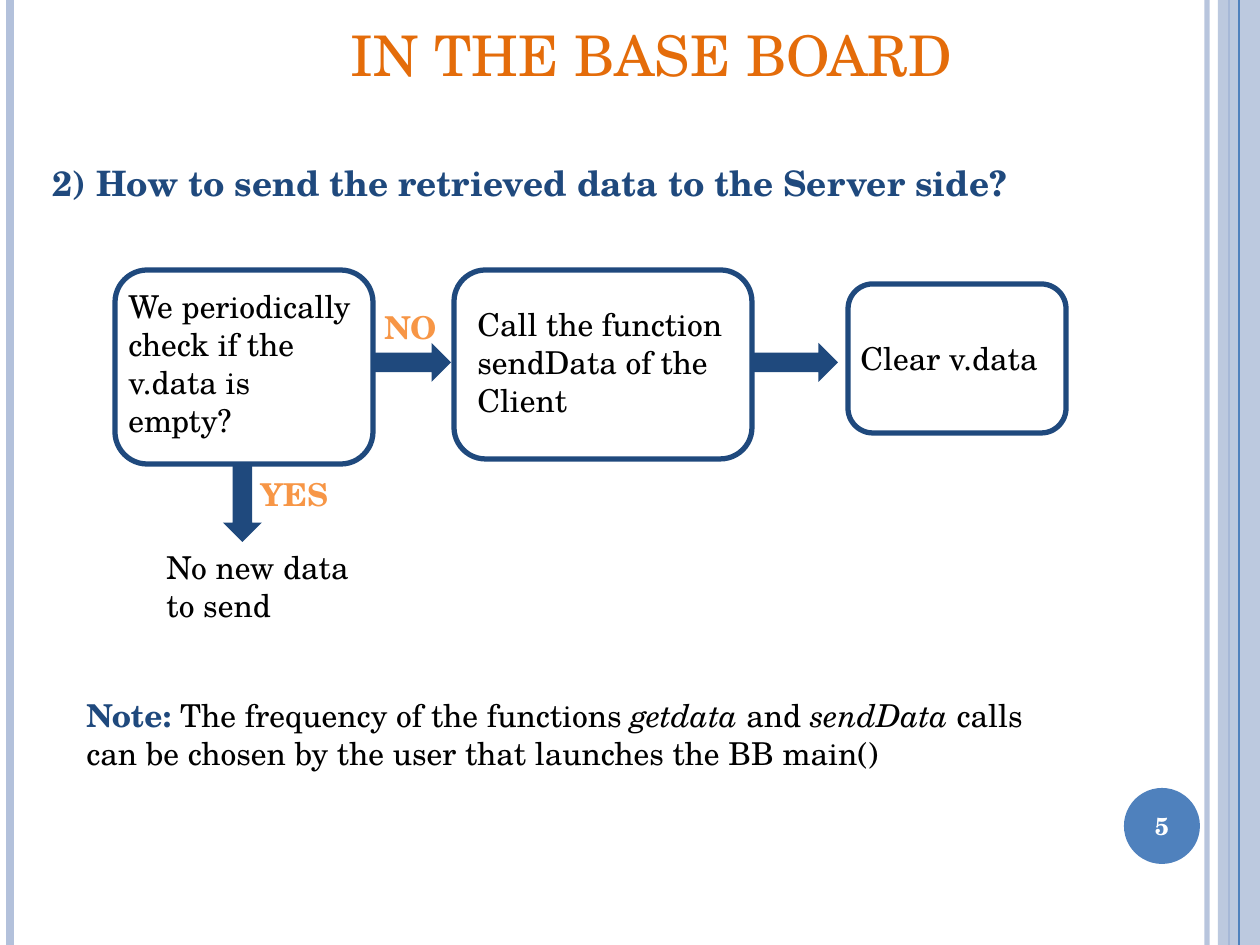
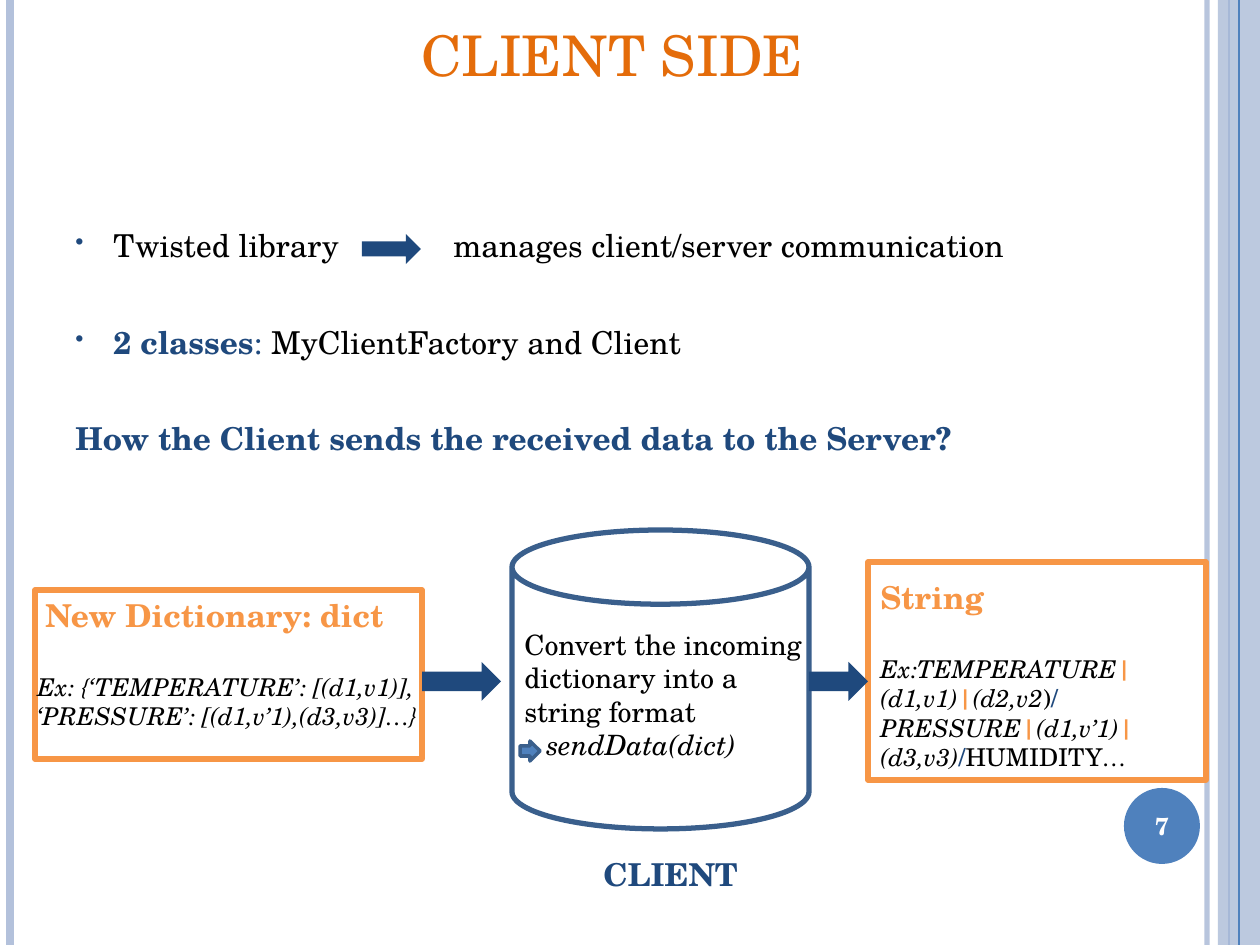
from dataclasses import dataclass

from lxml.etree import SubElement
from pptx import Presentation
from pptx.dml.color import RGBColor
from pptx.enum.shapes import MSO_CONNECTOR, MSO_SHAPE as Preset
from pptx.enum.text import MSO_ANCHOR as Anchor, MSO_AUTO_SIZE as AutoSize, PP_ALIGN as Align
from pptx.oxml.ns import qn
from pptx.slide import Slide
from pptx.util import Emu, Pt

EMU_PER_PX = 914400 / 126
SLIDE_WIDTH, SLIDE_HEIGHT = 1260, 945
FONT = "TeX Gyre Schola"
TITLE_ONLY = 5
COLORS = {
    "title": "E46C0A",
    "navy": "1F497D",
    "orange": "F79646",
    "black": "000000",
    "white": "FFFFFF",
    "blue": "4F81BD",
    "outline": "3A5F8C",
    "band": "B3C1DB",
}


def px(length):
    return Emu(round(length * EMU_PER_PX))


def rgb(color):
    return RGBColor.from_string(COLORS[color])


def set_alpha(fill_owner, percent):
    """Make the solid fill inside an XML element partly transparent."""
    color = next(fill_owner.iter(qn("a:srgbClr")))
    SubElement(color, qn("a:alpha"), val=str(percent * 1000))


def style_font(font, color, style=""):
    """Colour a font; style holds b for bold and i for italic."""
    font.color.rgb = rgb(color)
    font.bold = "b" in style
    font.italic = "i" in style


def write_paragraph(paragraph, runs, size=18, align=None, before=0, indent=0):
    """Fill a paragraph with (text, color, style) runs."""
    paragraph.alignment = align
    paragraph.space_before = Pt(before)
    paragraph.font.name = FONT
    paragraph.font.size = Pt(size)
    if indent:
        paragraph._p.get_or_add_pPr().set("marL", str(px(indent)))
    for text, *look in runs:
        run = paragraph.add_run()
        run.text = text
        style_font(paragraph.font if len(runs) == 1 else run.font, *look)


def add_bullet(paragraph, indent):
    properties = paragraph._p.get_or_add_pPr()
    properties.set("marL", str(px(indent)))
    properties.set("indent", str(-px(indent)))
    bullet_color = SubElement(properties, qn("a:buClr"))
    SubElement(bullet_color, qn("a:srgbClr"), val=COLORS["navy"])
    SubElement(properties, qn("a:buSzPct"), val="77000")
    SubElement(properties, qn("a:buChar"), char="•")
    default_font = properties.find(qn("a:defRPr"))
    if default_font is not None:
        properties.append(default_font)


@dataclass
class Region:
    """Part of a slide; everything in it is placed from its top left corner."""
    slide: Slide
    left: int = 0
    top: int = 0

    def place(self, left, top, width, height):
        return px(self.left + left), px(self.top + top), px(width), px(height)

    def shape(self, preset, box, fill=None, line=None, weight=3):
        shape = self.slide.shapes.add_shape(preset, *self.place(*box))
        shape.shadow.inherit = False
        if fill:
            shape.fill.solid()
            shape.fill.fore_color.rgb = rgb(fill)
        else:
            shape.fill.background()
        if line:
            shape.line.color.rgb = rgb(line)
            shape.line.width = Pt(weight)
        else:
            shape.line.fill.background()
        return shape

    def arrow(self, box, preset=Preset.RIGHT_ARROW):
        self.shape(preset, box, fill="navy")

    def text(self, box, *paragraphs):
        """Add a text box; each paragraph is a dict for write_paragraph."""
        frame = self.slide.shapes.add_textbox(*self.place(*box)).text_frame
        frame.word_wrap = True
        for index, content in enumerate(paragraphs):
            paragraph = frame.add_paragraph() if index else frame.paragraphs[0]
            write_paragraph(paragraph, **content)
        return frame

    def label(self, box, text, color="black", style="", size=18):
        return self.text(box, {"runs": [(text, color, style)], "size": size})


def add_rule(slide, x, color, weight):
    rule = slide.shapes.add_connector(
        MSO_CONNECTOR.STRAIGHT, px(x), 0, px(x), px(SLIDE_HEIGHT))
    rule.line.color.rgb = rgb(color)
    rule.line.width = Pt(weight)
    SubElement(rule.element.spPr, qn("a:effectLst"))
    return rule


def add_frame(slide, number):
    """Draw the side bands and the numbered badge."""
    page = Region(slide)
    inner_rule = add_rule(slide, 1207, "band", 3)
    set_alpha(inner_rule.element.spPr, 93)
    add_rule(slide, 10, "band", 4.5)
    add_rule(slide, 1229, "blue", 1.5)
    band = page.shape(Preset.RECTANGLE, (1218, 0, 42, SLIDE_HEIGHT), fill="band")
    set_alpha(band.element.spPr, 87)
    add_rule(slide, 1239, "blue", 0.75)

    badge = page.shape(Preset.OVAL, (1124, 788, 76, 76), fill="blue")
    badge.text_frame.vertical_anchor = Anchor.MIDDLE
    write_paragraph(badge.text_frame.paragraphs[0],
                    [(str(number), "white", "b")], size=14, align=Align.CENTER)


def add_titled_slide(presentation, title, title_left, number):
    slide = presentation.slides.add_slide(presentation.slide_layouts[TITLE_ONLY])
    add_frame(slide, number)
    placeholder = slide.shapes.title
    placeholder.left, placeholder.top, placeholder.width, placeholder.height = \
        Region(slide).place(title_left, 14, 719, 81)
    frame = placeholder.text_frame
    frame.vertical_anchor = Anchor.TOP
    frame.auto_size = AutoSize.NONE
    write_paragraph(frame.paragraphs[0], [(title, "title")], size=32, align=Align.CENTER)
    return slide


def add_sending_flow(flow):
    steps = [
        ((0, 0, 258, 194), (1, 11, 256, 165),
         ["We periodically check if the v.data is", "empty?"]),
        ((339, 0, 298, 189), (350, 29, 287, 127),
         ["Call the function sendData of the Client"]),
        ((733, 14, 218, 149), (733, 63, 218, 50), ["Clear v.data"]),
    ]
    for box, text_box, lines in steps:
        flow.shape(Preset.ROUNDED_RECTANGLE, box, line="navy")
        flow.text(text_box, *({"runs": [(line, "black")]} for line in lines))

    flow.arrow((257, 73, 79, 39))
    flow.arrow((637, 73, 86, 39))
    flow.arrow((108, 193, 39, 79), Preset.DOWN_ARROW)
    flow.label((133, 199, 96, 50), "YES", "orange", "b")
    flow.label((257, 32, 82, 50), "NO", "orange", "b")
    flow.label((39, 272, 218, 89), "No new data to send")


def add_frequency_note(region):
    region.text((0, 0, 983, 89), {"runs": [
        ("Note: ", "navy", "b"),
        ("The frequency of the functions ", "black"),
        ("getdata", "black", "i"),
        (" and ", "black"),
        ("sendData", "black", "i"),
        (" calls can be chosen by the user that launches the BB main()", "black"),
    ]})


def add_client_points(points):
    gap = 33.5
    frame = points.text(
        (0, 0, 1029, 260),
        {"runs": [("Twisted library", "black")]},
        {"runs": [("2 classes", "navy", "b"), (": ", "navy"),
                  ("MyClientFactory and Client", "black")], "before": gap},
        {"runs": [("How the Client sends the received data to the Server?",
                   "navy", "b")], "before": gap},
    )
    for paragraph in frame.paragraphs[:2]:
        add_bullet(paragraph, 38)
    points.arrow((299, 14, 59, 30))
    points.label((378, 0, 640, 50), "manages client/server communication")


def add_dictionary_box(region):
    region.shape(Preset.RECTANGLE, (10, 0, 387, 169), line="orange")
    region.text(
        (0, 0, 417, 149),
        {"runs": [("New Dictionary: dict", "orange", "b")], "indent": 8},
        {"runs": [("Ex: {‘TEMPERATURE’: [(d1,v1)], "
                   "‘PRESSURE’: [(d1,v’1),(d3,v3)]…}", "black", "i")],
         "size": 14, "before": 21.6},
    )


def add_client_cylinder(region):
    region.shape(Preset.CAN, (0, 0, 297, 299), line="outline")
    region.text(
        (0, 91, 307, 186),
        {"runs": [("Convert the incoming dictionary into a string format", "black")],
         "size": 16},
        {"runs": [("sendData(dict)", "black", "i")], "size": 16, "indent": 22},
    )
    region.shape(Preset.RIGHT_ARROW, (8, 211, 20, 20),
                 fill="blue", line="outline", weight=2)
    region.label((79, 319, 169, 50), "CLIENT", "navy", "b")


def add_string_box(region):
    region.shape(Preset.RECTANGLE, (0, 0, 338, 218), line="orange")
    bar = ("|", "orange", "b")
    region.text(
        (0, 10, 357, 178),
        {"runs": [("String", "orange", "b")]},
        {"runs": [
            ("Ex:TEMPERATURE", "black", "i"), bar,
            ("(d1,v1)", "black", "i"), bar,
            ("(d2,v2", "black", "i"), (")", "black"), ("/", "navy", "b"),
            ("PRESSURE", "black", "i"), bar,
            ("(d1,v’1)", "black", "i"), bar,
            ("(d3,v3)", "black", "i"), ("/", "navy", "b"),
            ("HUMIDITY", "black"), ("…", "black", "i"),
        ], "size": 14, "before": 21.6},
    )


def add_board_slide(presentation):
    slide = add_titled_slide(presentation, "IN THE BASE BOARD", 292, 5)
    Region(slide).label((40, 155, 1076, 55),
                        "2) How to send the retrieved data to the Server side?",
                        "navy", "b", size=20)
    add_sending_flow(Region(slide, 115, 270))
    add_frequency_note(Region(slide, 74, 690))


def add_client_slide(presentation):
    slide = add_titled_slide(presentation, "CLIENT SIDE", 253, 7)
    add_client_points(Region(slide, 63, 220))
    add_dictionary_box(Region(slide, 25, 590))
    add_client_cylinder(Region(slide, 512, 530))
    add_string_box(Region(slide, 868, 562))
    for left, width in ((422, 79), (809, 59)):
        Region(slide, left, 662).arrow((0, 0, width, 39))


def main():
    presentation = Presentation()
    presentation.slide_width = px(SLIDE_WIDTH)
    presentation.slide_height = px(SLIDE_HEIGHT)
    add_board_slide(presentation)
    add_client_slide(presentation)
    presentation.save("out.pptx")


if __name__ == "__main__":
    main()
